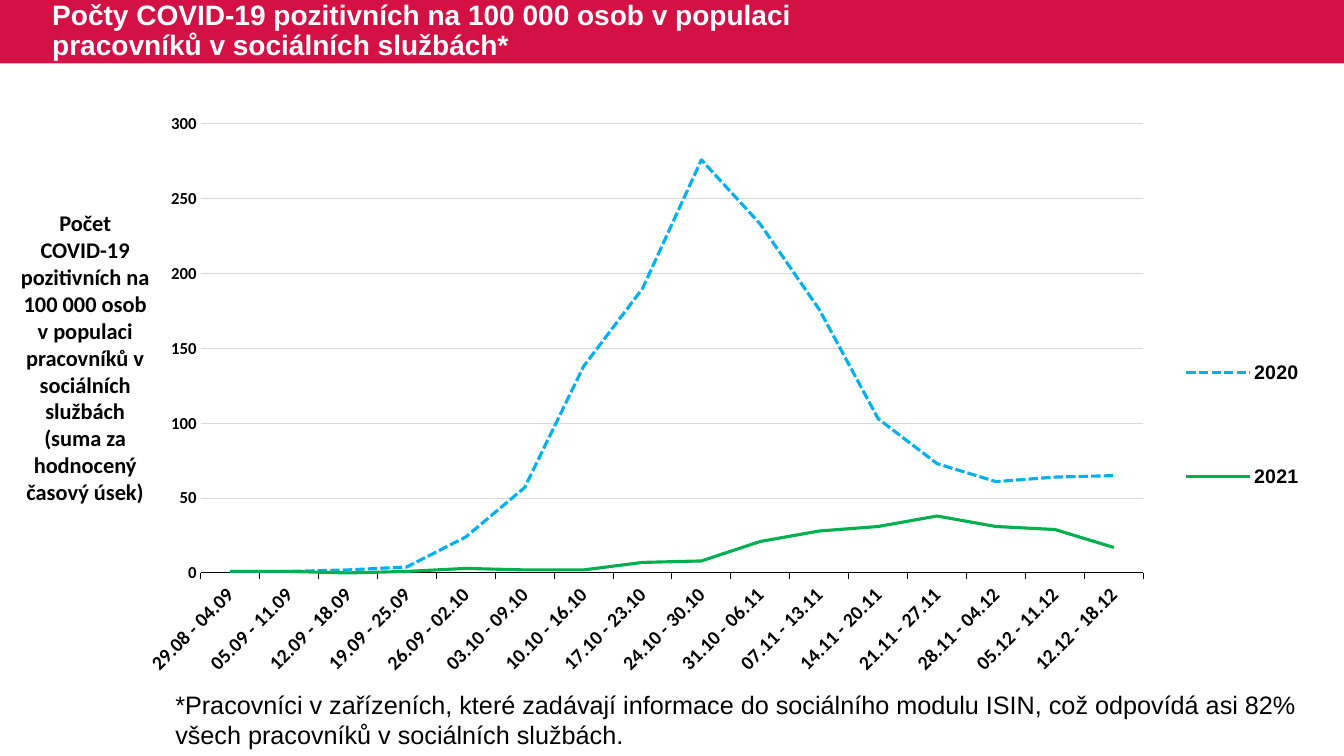
from lxml.etree import SubElement
from pptx import Presentation
from pptx.chart.data import CategoryChartData as ChartData
from pptx.dml.color import RGBColor as Rgb
from pptx.enum.chart import XL_CHART_TYPE as Kind, XL_LEGEND_POSITION as Place
from pptx.enum.chart import XL_TICK_MARK as Tick
from pptx.enum.dml import MSO_LINE as Dash
from pptx.enum.shapes import MSO_SHAPE as Shape
from pptx.enum.text import MSO_ANCHOR as Anchor, PP_ALIGN as Align
from pptx.oxml.ns import qn
from pptx.util import Inches, Pt

COLORS = {"band": "D31145", "white": "FFFFFF", "black": "000000",
          "grid": "D9D9D9", "2020": "00B0F0", "2021": "00B050"}
WEEKS = ["29.08 - 04.09", "05.09 - 11.09", "12.09 - 18.09", "19.09 - 25.09",
         "26.09 - 02.10", "03.10 - 09.10", "10.10 - 16.10", "17.10 - 23.10",
         "24.10 - 30.10", "31.10 - 06.11", "07.11 - 13.11", "14.11 - 20.11",
         "21.11 - 27.11", "28.11 - 04.12", "05.12 - 11.12", "12.12 - 18.12"]
CASES = {
    "2020": [1, 1, 2, 4, 24, 57, 138, 190, 276, 233, 176, 103, 73, 61, 64, 65],
    "2021": [1, 1, 0, 1, 3, 2, 2, 7, 8, 21, 28, 31, 38, 31, 29, 17],
}
TITLE = ("Počty COVID-19 pozitivních na 100 000 osob v populaci "
         "pracovníků v sociálních službách*")
LABEL = ("Počet COVID-19 pozitivních na 100 000 osob v populaci "
         "pracovníků v sociálních službách (suma za hodnocený časový úsek)")
NOTE = ("*Pracovníci v zařízeních, které zadávají informace do sociálního "
        "modulu ISIN, což odpovídá asi 82% všech pracovníků v sociálních "
        "službách.")


def color(name):
    """Return the named colour."""
    return Rgb.from_string(COLORS[name])


def style(font, size, face="Arial", bold=True, tint="black"):
    """Set size, face, weight and colour of a font."""
    font.size, font.name, font.bold = Pt(size), face, bold
    font.color.rgb = color(tint)


def add_band(slide):
    """Draw the red band behind the title."""
    band = slide.shapes.add_shape(Shape.RECTANGLE, 0, 0, Inches(13.33), Inches(0.63))
    band.shadow.inherit = False
    band.fill.solid()
    band.fill.fore_color.rgb = color("band")
    band.line.fill.background()


def add_text(slide, text, box, size, align=Align.LEFT, anchor=Anchor.TOP,
             lead=1.0, **look):
    """Add a wrapped text box with one paragraph."""
    frame = slide.shapes.add_textbox(*map(Inches, box)).text_frame
    frame.word_wrap = True
    frame.vertical_anchor = anchor
    para = frame.paragraphs[0]
    para.text, para.alignment, para.line_spacing = text, align, lead
    style(para.font, size, **look)


def set_layout(node, box, inner=False):
    """Place a chart part by fractions of the chart area."""
    for old in node.findall(qn("c:layout")):
        node.remove(old)
    layout = SubElement(node, qn("c:layout"))
    manual = SubElement(layout, qn("c:manualLayout"))
    rows = [("layoutTarget", "inner")] if inner else []
    rows += [("xMode", "edge"), ("yMode", "edge")]
    rows += zip("xywh", map(str, box))
    for tag, val in rows:
        SubElement(manual, qn("c:" + tag)).set("val", val)
    node.insert(0 if inner else 1, layout)


def style_axes(chart):
    """Format both axes and the grid."""
    weeks, count = chart.category_axis, chart.value_axis
    weeks.major_tick_mark, count.major_tick_mark = Tick.OUTSIDE, Tick.NONE
    weeks.format.line.color.rgb = color("black")
    weeks.format.line.width = Pt(0.75)
    style(weeks.tick_labels.font, 14, "Calibri")
    weeks.tick_labels.font._element.getparent().getparent().getparent().find(
        qn("a:bodyPr")).set("rot", "-2700000")
    count.minimum_scale, count.maximum_scale, count.major_unit = 0, 300, 50
    count.format.line.fill.background()
    style(count.tick_labels.font, 12, "Calibri")
    grid = count.major_gridlines.format.line
    grid.color.rgb, grid.width = color("grid"), Pt(0.75)


def add_lines(slide, box):
    """Add the line chart of weekly cases."""
    data = ChartData()
    data.categories = WEEKS
    for year, vals in CASES.items():
        data.add_series(year, vals)
    chart = slide.shapes.add_chart(Kind.LINE, *map(Inches, box), data).chart
    style(chart.font, 14)
    chart.has_title = False
    chart.has_legend = True
    legend = chart.legend
    legend.position, legend.include_in_layout = Place.RIGHT, False
    style(legend.font, 14)
    style_axes(chart)
    plot = chart.plots[0]
    plot.vary_by_categories = False
    for row in plot.series:
        row.smooth = False
        line = row.format.line
        line.color.rgb, line.width = color(row.name), Pt(2.25)
    plot.series[0].format.line.dash_style = Dash.SQUARE_DOT
    area = chart.element.find(".//" + qn("c:plotArea"))
    set_layout(area, (0.045, 0.017, 0.803, 0.759), inner=True)
    set_layout(legend._element, (0.875, 0.28, 0.115, 0.49))


def main():
    """Build the slide and save it."""
    deck = Presentation()
    deck.slide_width, deck.slide_height = Inches(13.33), Inches(7.5)
    slide = deck.slides.add_slide(deck.slide_layouts[6])
    add_band(slide)
    add_text(slide, TITLE, (0.42, 0, 8.53, 0.63), 20, anchor=Anchor.MIDDLE,
             lead=0.9, tint="white")
    add_text(slide, LABEL, (0.06, 2.03, 1.57, 3.06), 16, Align.CENTER,
             face="Calibri")
    add_text(slide, NOTE, (1.64, 6.79, 11.56, 0.71), 18, bold=False)
    add_lines(slide, (1.45, 1.13, 11.66, 5.87))
    deck.save("out.pptx")


if __name__ == "__main__":
    main()
